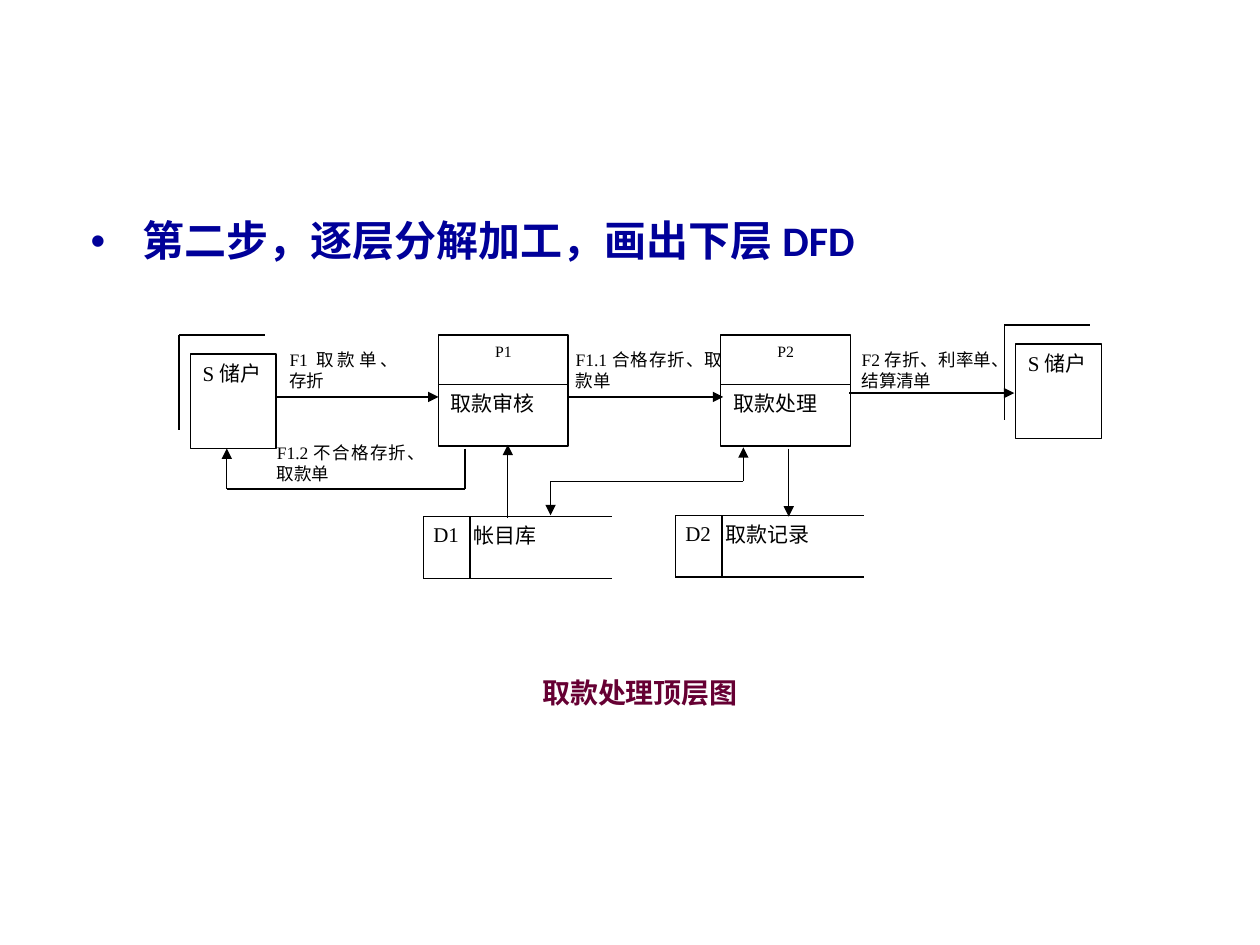
from dataclasses import dataclass

from lxml import etree
from pptx import Presentation
from pptx import util as u
from pptx.dml.color import RGBColor
from pptx.enum import shapes, text
from pptx.oxml.ns import qn

COLUMNS, ROWS = 100, 75  # grid over the whole slide
Point = tuple[float, float]
JUSTIFY, CENTER = text.PP_ALIGN.JUSTIFY, text.PP_ALIGN.CENTER


@dataclass(frozen=True)
class Theme:
    ink: str = "000000"
    paper: str = "FFFFFF"
    heading: str = "000099"
    caption: str = "660033"
    serif: str = "Times New Roman"
    sans: str = "Calibri"
    chinese: str = "Noto Sans CJK SC"
    heading_size: int = 24
    caption_size: int = 16
    name_size: int = 12
    flow_size: int = 10
    number_size: int = 9
    line_width: float = 0.75


@dataclass(frozen=True)
class Box:
    """A rectangle in grid columns and rows."""
    left: float
    top: float
    width: float
    height: float


@dataclass(frozen=True)
class Node:
    left: float
    top: float
    name: str
    number: str = ""


@dataclass(frozen=True)
class Flow:
    points: tuple[Point, ...]
    both_ends: bool = False


THEME = Theme()
FLOW_LABELS = [
    (Box(22, 27.2, 10.6, 10), "F1取款单、存折"),
    (Box(21, 34.6, 13.7, 9.7), "F1.2不合格存折、取款单"),
    (Box(67.4, 27.2, 12.3, 11.6), "F2存折、利率单、结算清单"),
    (Box(44.7, 27.2, 13.6, 10), "F1.1合格存折、取款单"),
]
ENTITIES = [Node(14.2, 26.6, "S储户"), Node(79.7, 25.8, "S储户")]
PROCESSES = [Node(34.8, 26.6, "取款审核", "P1"), Node(57.2, 26.6, "取款处理", "P2")]
STORES = [Node(33.6, 41, "帐目库", "D1"), Node(53.6, 40.9, "取款记录", "D2")]
FLOWS = [
    Flow(((21.9, 31.5), (34.8, 31.5))),
    Flow(((45, 31.5), (57.4, 31.5))),
    Flow(((67.4, 31.2), (80.5, 31.2))),
    Flow(((36.9, 35.6), (36.9, 38.8), (18, 38.8), (18, 35.6))),
    Flow(((40.3, 41.1), (40.3, 35.3))),
    Flow(((43.7, 40.9), (43.7, 38.2), (59, 38.2), (59, 35.5)), both_ends=True),
    Flow(((62.6, 35.6), (62.6, 41))),
]

prs = Presentation()
prs.slide_width, prs.slide_height = u.Inches(10), u.Inches(7.5)


def x(columns: float) -> int:
    return round(prs.slide_width * columns / COLUMNS)


def y(rows: float) -> int:
    return round(prs.slide_height * rows / ROWS)


def place(box: Box) -> tuple[int, int, int, int]:
    return x(box.left), y(box.top), x(box.width), y(box.height)


def color(value: str) -> RGBColor:
    return RGBColor.from_string(value)


def style_text(paragraph, size: int, font: str, ink: str, bold: bool = False) -> None:
    for run in paragraph.runs:
        run.font.size, run.font.name, run.font.bold = u.Pt(size), font, bold
        run.font.color.rgb = color(ink)
        latin = run.font._element.find(qn("a:latin"))
        east_asian = etree.Element(qn("a:ea"), typeface=THEME.chinese)
        latin.addnext(east_asian)


def add_box(slide, box: Box, words: str, size: int, outline: str,
            align=JUSTIFY, inset: float = 1) -> None:
    shape = slide.shapes.add_shape(shapes.MSO_SHAPE.RECTANGLE, *place(box))
    shape.shadow.inherit = False
    shape.fill.solid()
    shape.fill.fore_color.rgb = color(THEME.paper)
    shape.line.color.rgb = color(outline)
    shape.line.width = u.Pt(THEME.line_width)
    frame = shape.text_frame
    frame.word_wrap = True
    frame.vertical_anchor = text.MSO_ANCHOR.TOP
    frame.margin_left = x(inset)
    frame.text = words
    frame.paragraphs[0].alignment = align
    style_text(frame.paragraphs[0], size, THEME.serif, THEME.ink)


def add_line(slide, start: Point, end: Point, head: bool = False, tail: bool = False) -> None:
    line = slide.shapes.add_connector(
        shapes.MSO_CONNECTOR.STRAIGHT, x(start[0]), y(start[1]), x(end[0]), y(end[1]))
    line.line.color.rgb = color(THEME.ink)
    line.line.width = u.Pt(THEME.line_width)
    outline = line.line._get_or_add_ln()
    for tag, wanted in (("a:headEnd", head), ("a:tailEnd", tail)):
        if wanted:
            etree.SubElement(outline, qn(tag), type="triangle")
    etree.SubElement(line._element.spPr, qn("a:effectLst"))


def add_flow(slide, flow: Flow) -> None:
    last = len(flow.points) - 2
    for i, (start, end) in enumerate(zip(flow.points, flow.points[1:])):
        add_line(slide, start, end, head=flow.both_ends and i == 0, tail=i == last)


def add_entity(slide, node: Node) -> None:
    corner = (node.left, node.top)
    add_box(slide, Box(node.left + 0.9, node.top + 1.5, 6.8, 7.5),
            node.name, THEME.name_size, THEME.ink)
    add_line(slide, corner, (node.left + 6.8, node.top))
    add_line(slide, corner, (node.left, node.top + 7.5))


def add_process(slide, node: Node) -> None:
    add_box(slide, Box(node.left, node.top + 3.9, 10.3, 4.9),
            node.name, THEME.name_size, THEME.ink)
    add_box(slide, Box(node.left, node.top, 10.3, 3.9),
            node.number, THEME.number_size, THEME.ink, CENTER)


def add_store(slide, node: Node) -> None:
    left, top, bottom = node.left, node.top, node.top + 4.9
    add_box(slide, Box(left - 1, top - 0.1, 6, 4.9),
            node.number, THEME.name_size, THEME.paper, inset=1.8)
    add_box(slide, Box(left + 3, top, 15, 4.9), node.name, THEME.name_size, THEME.paper)
    for row in (top, bottom):
        add_line(slide, (left, row), (left + 15, row))
    for column in (left, left + 3.7):
        add_line(slide, (column, top), (column, bottom))


def add_heading(slide) -> None:
    body = slide.placeholders[1]
    body.left, body.top, body.width, body.height = place(Box(6.2, 17, 86.3, 64.6 - 17))
    frame = body.text_frame
    frame.auto_size = text.MSO_AUTO_SIZE.NONE
    frame.text = "第二步，逐层分解加工，画出下层DFD"
    paragraph = frame.paragraphs[0]
    paragraph.line_spacing, paragraph.space_before = 0.9, u.Pt(0)
    props = paragraph._p.get_or_add_pPr()
    props.set("marL", str(x(4.1)))
    props.set("indent", str(-x(4.1)))
    bullet_color = etree.SubElement(props, qn("a:buClr"))
    etree.SubElement(bullet_color, qn("a:srgbClr"), val=THEME.heading)
    etree.SubElement(props, qn("a:buFont"), typeface="Arial")
    etree.SubElement(props, qn("a:buChar"), char="•")
    style_text(paragraph, THEME.heading_size, THEME.sans, THEME.heading, bold=True)


def add_caption(slide) -> None:
    frame = slide.shapes.add_textbox(*place(Box(33.3, 53.1, 35, 7.7))).text_frame
    frame.word_wrap = True
    frame.text = "取款处理顶层图"
    frame.paragraphs[0].alignment = CENTER
    style_text(frame.paragraphs[0], THEME.caption_size, THEME.chinese, THEME.caption, bold=True)


def main() -> None:
    slide = prs.slides.add_slide(prs.slide_layouts[1])
    title = slide.shapes.title._element
    title.getparent().remove(title)
    add_heading(slide)
    for box, words in FLOW_LABELS:
        add_box(slide, box, words, THEME.flow_size, THEME.paper)
    for nodes, draw in ((STORES, add_store), (PROCESSES, add_process), (ENTITIES, add_entity)):
        for node in nodes:
            draw(slide, node)
    for flow in FLOWS:
        add_flow(slide, flow)
    add_caption(slide)
    prs.save("out.pptx")


if __name__ == "__main__":
    main()
